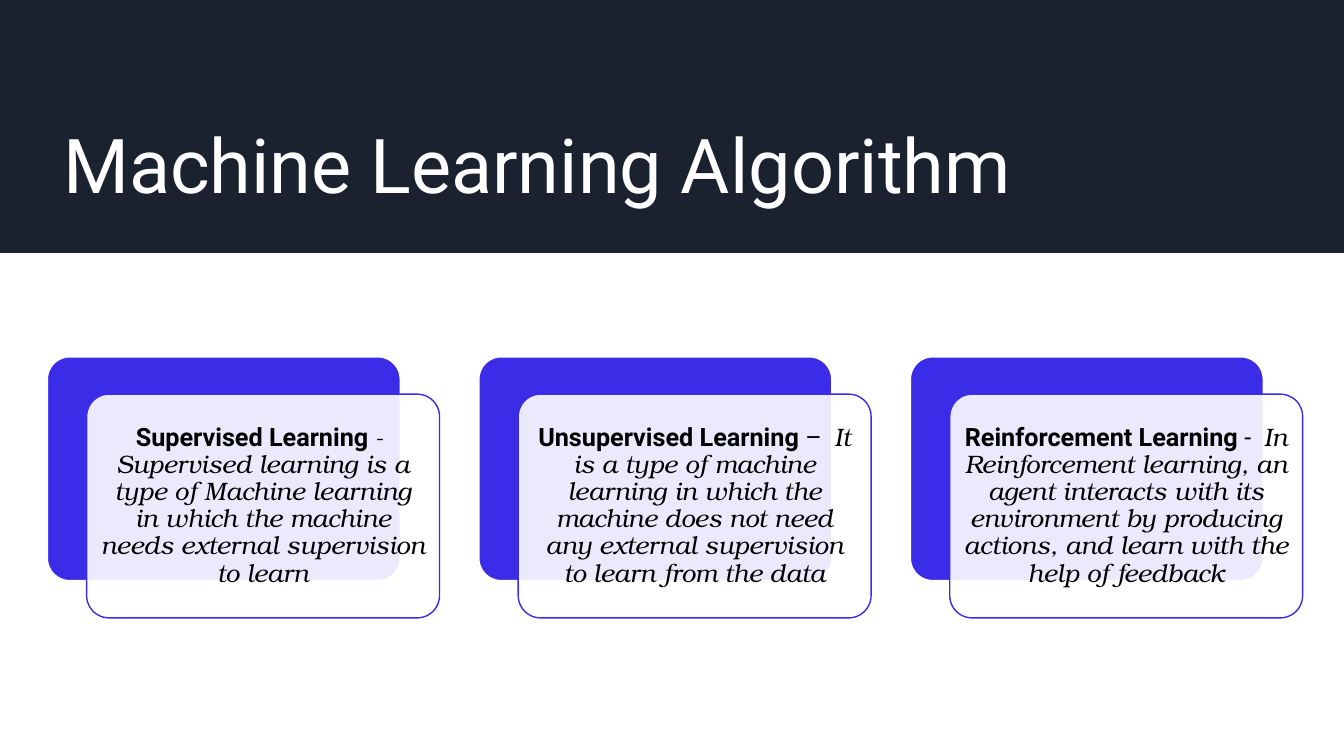
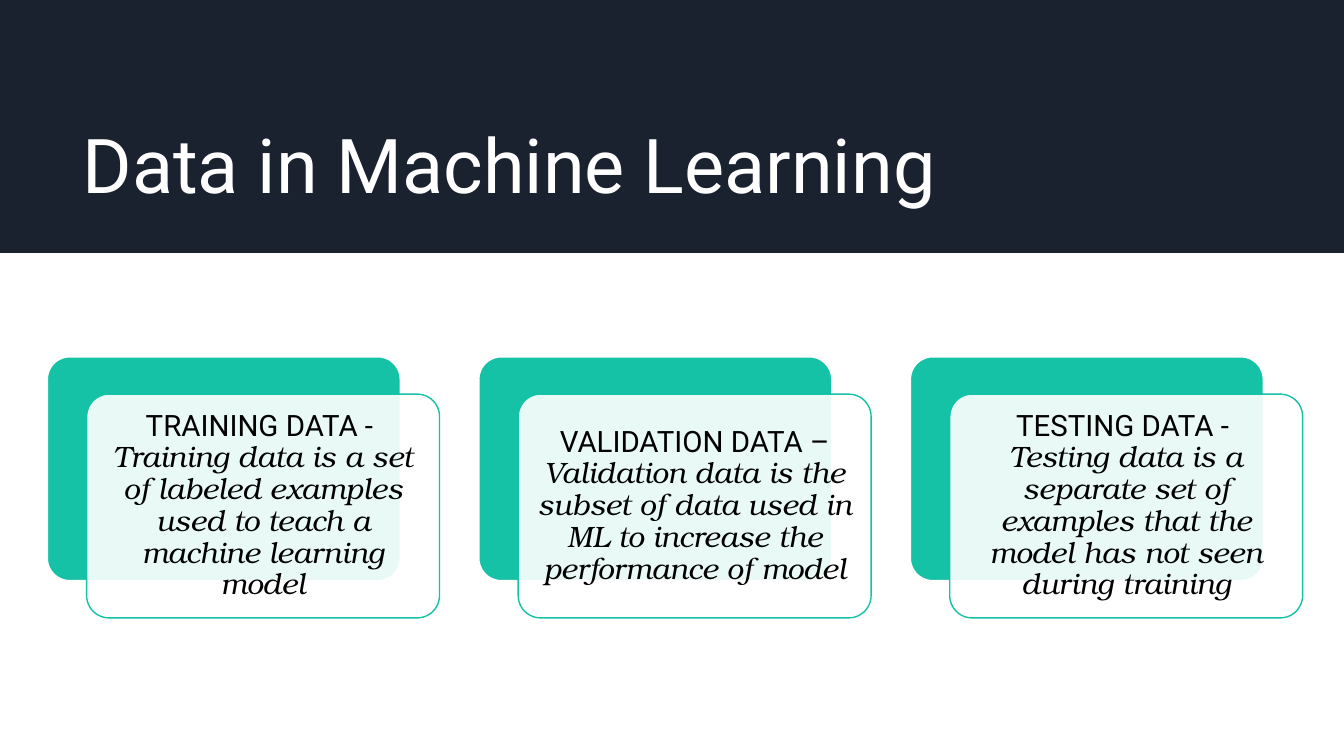
from lxml.etree import SubElement as sub
from pptx import Presentation
from pptx.dml.color import RGBColor as RGB
from pptx.enum.shapes import MSO_SHAPE as SHAPE
from pptx.enum.text import MSO_ANCHOR as ANCHOR, PP_ALIGN as ALIGN
from pptx.oxml.ns import qn
from pptx.util import Inches, Pt

COLORS = {
    "band": "1A212F",
    "white": "FFFFFF",
    "black": "000000",
    "blue": "3B2CE7",
    "teal": "15C2A5",
}
SANS, SERIF = "Roboto", "TeX Gyre Bonum"
# Font, bold and italic of each kind of run
STYLES = {
    "head": (SANS, True, False),
    "plain": (SANS, False, False),
    "body": (SERIF, False, True),
}
WIDTH, HEIGHT = 13.33, 7.5
LEFT, TOP, STEP = 0.47, 3.54, 4.28
CARD_W, CARD_H = 3.5, 2.22
SHIFT_X, SHIFT_Y = 0.39, 0.37

ALGOS = [
    [("head", "Supervised Learning "),
     ("body", "-  Supervised learning is a type of Machine learning in which "
              "the machine needs external supervision to learn")],
    [("head", "Unsupervised Learning"), ("plain", " –  "),
     ("body", "It is a type of machine learning in which the machine does "
              "not need any external supervision to learn from the data")],
    [("head", "Reinforcement Learning"), ("plain", " -  "),
     ("body", "In Reinforcement learning, an agent interacts with its "
              "environment by producing actions, and learn with the help "
              "of feedback")],
]
DATA = [
    [("plain", "TRAINING DATA -  "),
     ("body", "Training data is a set of labeled examples used to teach a "
              "machine learning model")],
    [("plain", "VALIDATION DATA – "),
     ("body", "Validation data is the subset of data used in ML to increase "
              "the performance of model")],
    [("plain", "TESTING DATA -  "),
     ("body", "Testing data is a separate set of examples that the model "
              "has not seen during training")],
]


def color(name):
    return RGB.from_string(COLORS[name])


def add_box(slide, kind, x, y, w, h, fill, line=None):
    box = slide.shapes.add_shape(kind, Inches(x), Inches(y),
                                 Inches(w), Inches(h))
    box.shadow.inherit = False
    box.fill.solid()
    box.fill.fore_color.rgb = color(fill)
    if line:
        box.line.color.rgb = color(line)
        box.line.width = Pt(1)
    else:
        box.line.fill.background()
    return box


def add_title(slide, text, left):
    box = slide.shapes.add_textbox(Inches(left), Inches(0.4),
                                   Inches(11.89), Inches(1.72))
    frame = box.text_frame
    frame.word_wrap = True
    frame.vertical_anchor = ANCHOR.BOTTOM
    par = frame.paragraphs[0]
    par.text = text
    par.font.name, par.font.size = SANS, Pt(54)
    par.font.color.rgb = color("white")


def set_alpha(shape, percent):
    tone = shape.fill._xPr.find(qn("a:solidFill"))[0]
    sub(tone, qn("a:alpha")).set("val", str(percent * 1000))


def fill_text(shape, runs, size, inset):
    frame = shape.text_frame
    frame.word_wrap = True
    frame.vertical_anchor = ANCHOR.MIDDLE
    frame.margin_left = frame.margin_right = Inches(inset)
    frame.margin_top = frame.margin_bottom = Inches(inset)
    par = frame.paragraphs[0]
    par.alignment, par.line_spacing = ALIGN.CENTER, 0.9
    par.font.size = Pt(size)
    par.font.color.rgb = color("black")
    for style, text in runs:
        run = par.add_run()
        run.text = text
        run.font.name, run.font.bold, run.font.italic = STYLES[style]


def add_card(slide, x, runs, tone, size, inset):
    """Draw a solid card with a pale text card shifted over it."""
    back = add_box(slide, SHAPE.ROUNDED_RECTANGLE, x, TOP,
                   CARD_W, CARD_H, tone, "white")
    front = add_box(slide, SHAPE.ROUNDED_RECTANGLE, x + SHIFT_X,
                    TOP + SHIFT_Y, CARD_W, CARD_H, "white", tone)
    for card in (back, front):
        card.adjustments[0] = 0.1
    set_alpha(front, 90)
    fill_text(front, runs, size, inset)


def add_page(deck, title, left, cards, tone, size, inset):
    slide = deck.slides.add_slide(deck.slide_layouts[6])
    add_box(slide, SHAPE.RECTANGLE, 0, 0, WIDTH, 2.51, "band")
    add_title(slide, title, left)
    for i, runs in enumerate(cards):
        add_card(slide, LEFT + i * STEP, runs, tone, size, inset)


def main():
    deck = Presentation()
    deck.slide_width, deck.slide_height = Inches(WIDTH), Inches(HEIGHT)
    add_page(deck, "Machine Learning Algorithm", 0.53,
             ALGOS, "blue", 18, 0.07)
    add_page(deck, "Data in Machine Learning", 0.72,
             DATA, "teal", 21, 0.09)
    deck.save("out.pptx")


if __name__ == "__main__":
    main()
